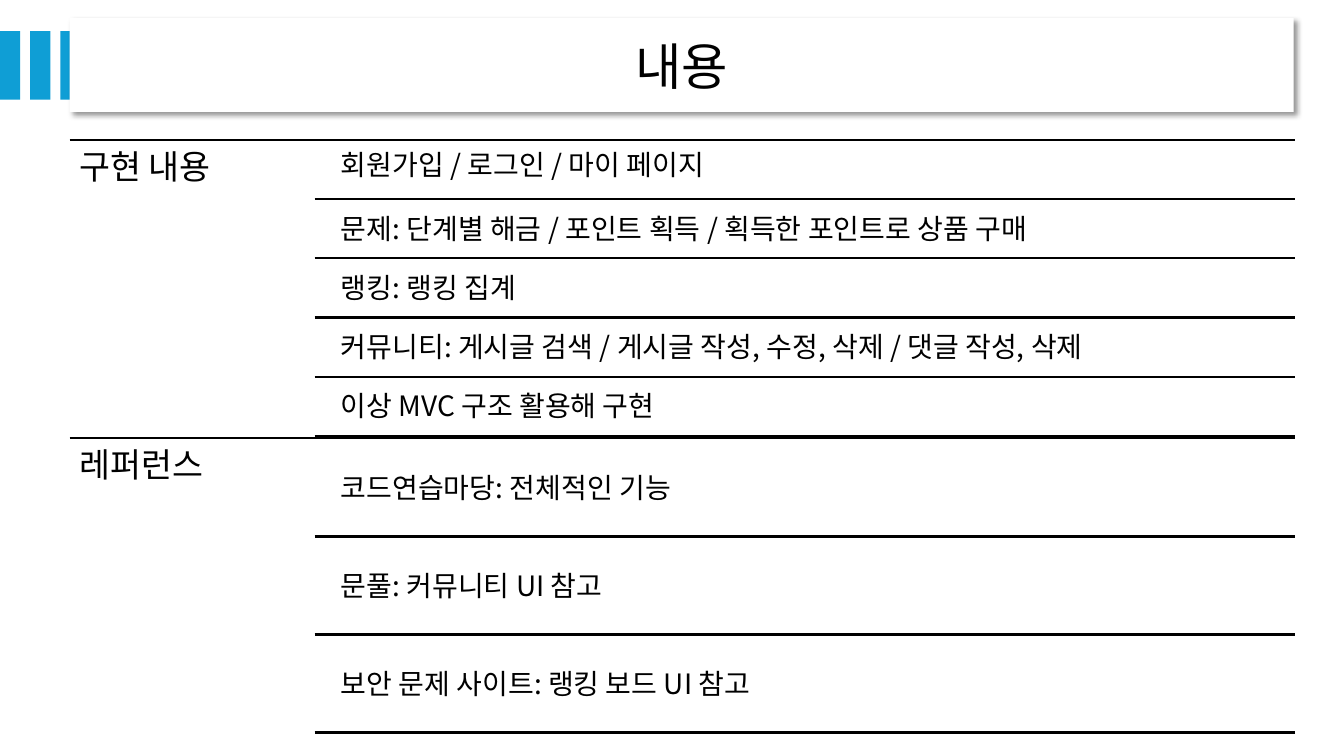
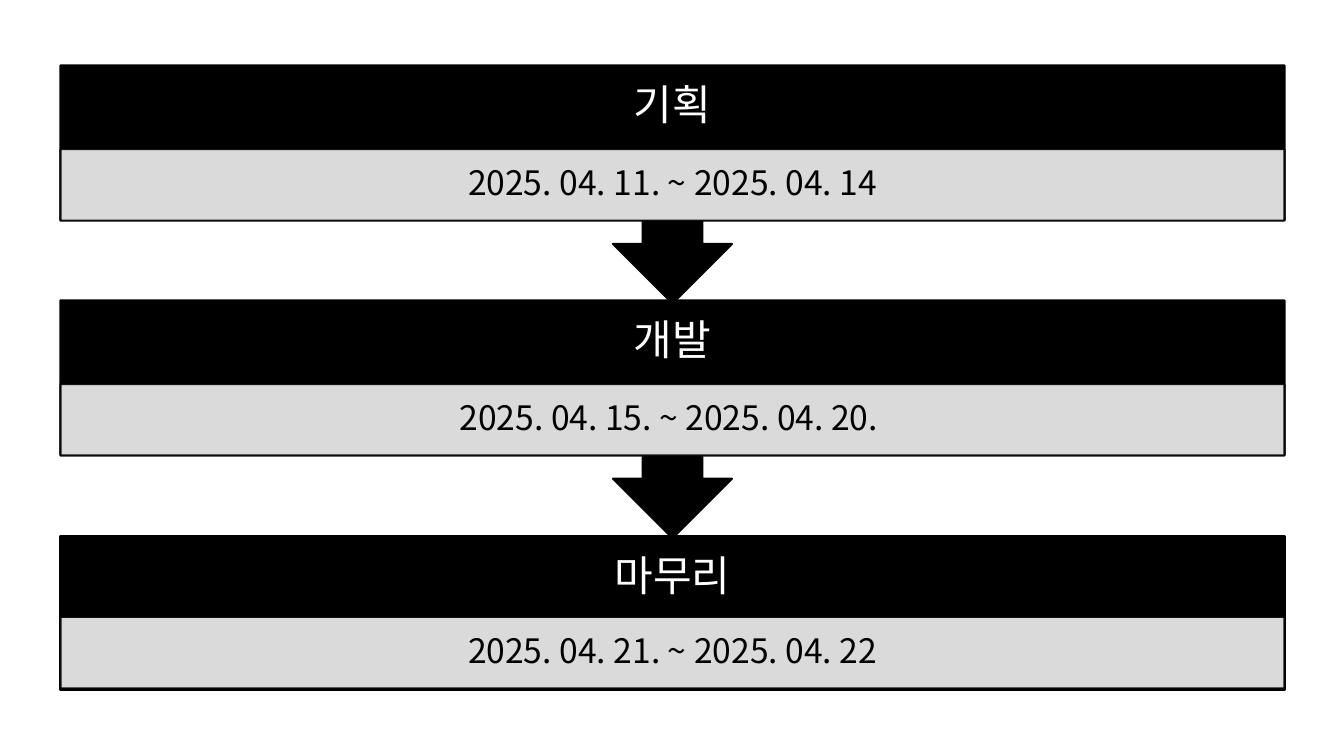
from lxml import etree
from pptx import Presentation
from pptx.dml.color import RGBColor
from pptx.enum.shapes import MSO_CONNECTOR, MSO_SHAPE
from pptx.enum.text import MSO_ANCHOR, PP_ALIGN
from pptx.oxml.ns import qn
from pptx.util import Inches, Pt

RECT = MSO_SHAPE.RECTANGLE
CALLOUT = MSO_SHAPE.DOWN_ARROW_CALLOUT
LINE = MSO_CONNECTOR.STRAIGHT
TOP, MIDDLE = MSO_ANCHOR.TOP, MSO_ANCHOR.MIDDLE
LEFT, CENTER = PP_ALIGN.LEFT, PP_ALIGN.CENTER

# Shared style
FONT = "Noto Sans CJK KR"
BLACK, WHITE, BLUE, PALE = "000000", "FFFFFF", "0F9ED5", "F2F2F2"
WIDTH = 12.14  # title and content blocks
RULE = 1.5
TITLE = dict(size=36, align=CENTER, pad=(0.1, 0.05), lead=1)
LABEL = dict(size=24, pad=(0.1, 0.1), anchor=TOP)
ITEM = dict(size=20, pad=(0.08, 0.08))
HEAD = dict(size=30, color=WHITE, align=CENTER, pad=(0.23, 0.23))
DATE = dict(size=24, align=CENTER, pad=(0.19, 0.03))

SECTIONS = [
    ("구현 내용", 1.39, 0.56, [
        "회원가입 / 로그인 / 마이 페이지",
        "문제: 단계별 해금 / 포인트 획득 / 획득한 포인트로 상품 구매",
        "랭킹: 랭킹 집계",
        "커뮤니티: 게시글 검색 / 게시글 작성, 수정, 삭제 / 댓글 작성, 삭제",
        "이상 MVC 구조 활용해 구현",
    ]),
    ("레퍼런스", 4.35, 0.93, [
        "코드연습마당: 전체적인 기능",
        "문풀: 커뮤니티 UI 참고",
        "보안 문제 사이트: 랭킹 보드 UI 참고",
    ]),
]
# Name, dates, shape, top, height, offset of the date band
STAGES = [
    ("기획", "2025. 04. 11. ~ 2025. 04. 14", CALLOUT, 0.65, 2.36, 0.83),
    ("개발", "2025. 04. 15. ~ 2025. 04. 20. ", CALLOUT, 2.98, 2.36, 0.83),
    ("마무리", "2025. 04. 21. ~ 2025. 04. 22", RECT, 5.32, 1.53, 0.8),
]


def rgb(code):
    return RGBColor.from_string(code)


def assign(target, values):
    for name, value in values.items():
        setattr(target, name, value)


def write(shape, text, size, color=BLACK, align=LEFT, anchor=MIDDLE,
          pad=(0.1, 0.05), lead=0.9):
    side, edge = map(Inches, pad)
    frame = shape.text_frame
    assign(frame, dict(word_wrap=True, vertical_anchor=anchor,
                       margin_left=side, margin_right=side,
                       margin_top=edge, margin_bottom=edge))
    para = frame.paragraphs[0]
    assign(para, dict(alignment=align, line_spacing=lead))
    run = para.add_run()
    run.text = text
    assign(run.font, dict(name=FONT, size=Pt(size)))
    run.font.color.rgb = rgb(color)
    # Korean glyphs use the East Asian typeface
    latin = run.font._element.find(qn("a:latin"))
    east = etree.Element(qn("a:ea"), typeface=FONT)
    latin.addnext(east)


def add_text(slide, box, text, style):
    shape = slide.shapes.add_textbox(*map(Inches, box))
    write(shape, text, **style)


def add_block(slide, box, fill, kind=RECT, line=None, alpha=None):
    shape = slide.shapes.add_shape(kind, *map(Inches, box))
    shape.shadow.inherit = False
    shape.fill.solid()
    shape.fill.fore_color.rgb = rgb(fill)
    if line:
        shape.line.color.rgb = rgb(line)
        shape.line.width = Pt(RULE)
    else:
        shape.line.fill.background()
    if alpha:
        for color in shape._element.spPr.iter(qn("a:srgbClr")):
            etree.SubElement(color, qn("a:alpha"), val=str(alpha * 1000))
    return shape


def add_rule(slide, left, right, top):
    rule = slide.shapes.add_connector(
        LINE, *map(Inches, (left, top, right, top)))
    rule.line.color.rgb = rgb(BLACK)
    rule.line.width = Pt(RULE)
    etree.SubElement(rule._element.spPr, qn("a:effectLst"))


def add_shadow(shape):
    effects = shape._element.spPr.find(qn("a:effectLst"))
    shade = etree.SubElement(
        effects, qn("a:outerShdw"), blurRad=str(Pt(4)), dist=str(Pt(3)),
        dir="2700000", algn="tl", rotWithShape="0")
    color = etree.SubElement(shade, qn("a:srgbClr"), val=BLACK)
    etree.SubElement(color, qn("a:alpha"), val="40000")


def add_title(slide, text):
    for i in range(3):
        add_block(slide, (i * 0.3, 0.31, 0.2, 0.68), BLUE)
    panel = add_block(slide, (0.69, 0.18, WIDTH, 0.93), WHITE)
    add_shadow(panel)
    write(panel, text, **TITLE)


def add_section(slide, name, top, row, items):
    left, split, right, height = 0.69, 3.12, 12.84, 2.96
    add_rule(slide, left, right, top)
    add_text(slide, (left, top, split - left, height), name, LABEL)
    # Equal gaps above, between and below the rows
    gap = (height - row * len(items)) / (len(items) + 1)
    for i, item in enumerate(items):
        y = top + gap + i * (row + gap)
        anchor = TOP if row < 0.6 and i == 0 else MIDDLE
        add_text(slide, (3.3, y, 9.53, row), item, dict(ITEM, anchor=anchor))
        add_rule(slide, split, right, y + row)


def add_stage(slide, name, dates, kind, top, height, drop):
    left = 0.6
    add_block(slide, (left, top, WIDTH, height), BLACK, kind, BLACK)
    add_text(slide, (left, top, WIDTH, 0.83), name, HEAD)
    band = add_block(slide, (left, top + drop, WIDTH, 0.71), PALE,
                     line=BLACK, alpha=90)
    write(band, dates, **DATE)


def main():
    deck = Presentation()
    deck.slide_width, deck.slide_height = Inches(13.33), Inches(7.5)
    blank = deck.slide_layouts[6]

    # Contents and references
    slide = deck.slides.add_slide(blank)
    add_title(slide, "내용")
    for section in SECTIONS:
        add_section(slide, *section)

    # Schedule: each arrow tip lies over the next stage
    slide = deck.slides.add_slide(blank)
    for stage in reversed(STAGES):
        add_stage(slide, *stage)

    deck.save("out.pptx")


if __name__ == "__main__":
    main()
